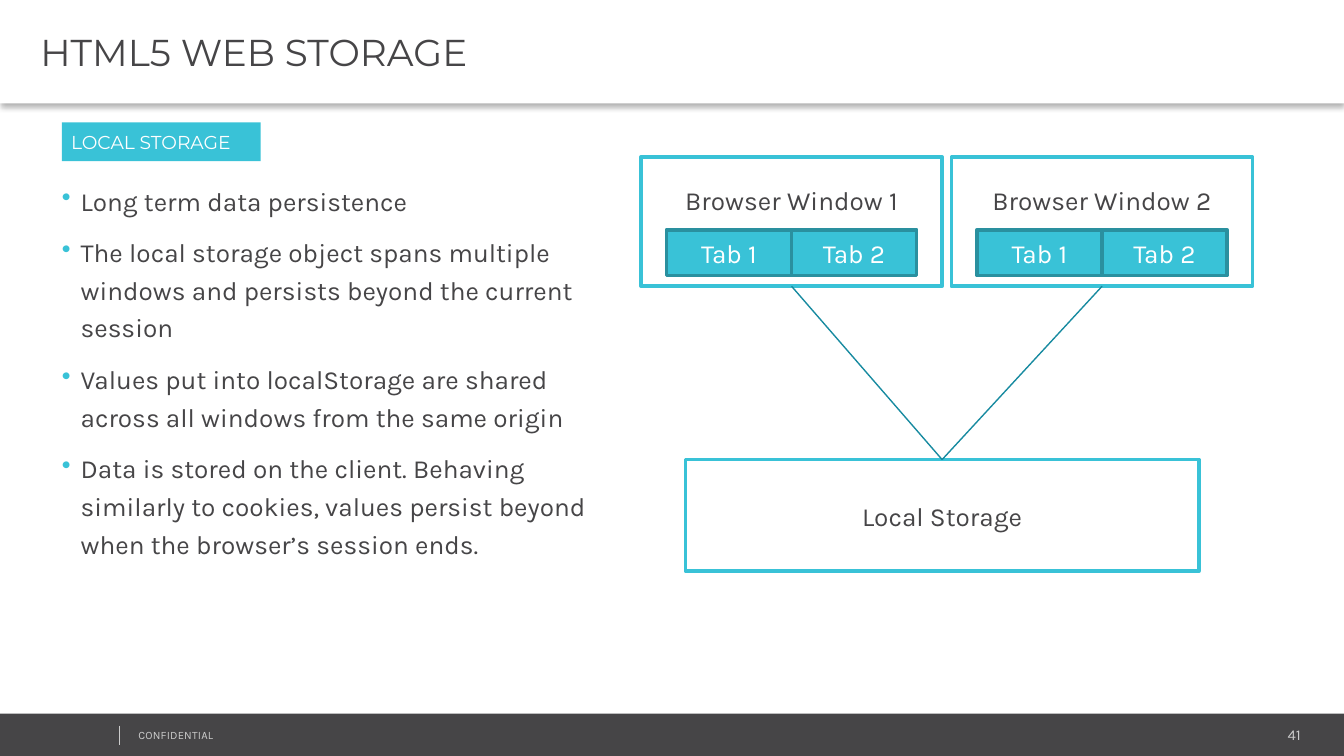
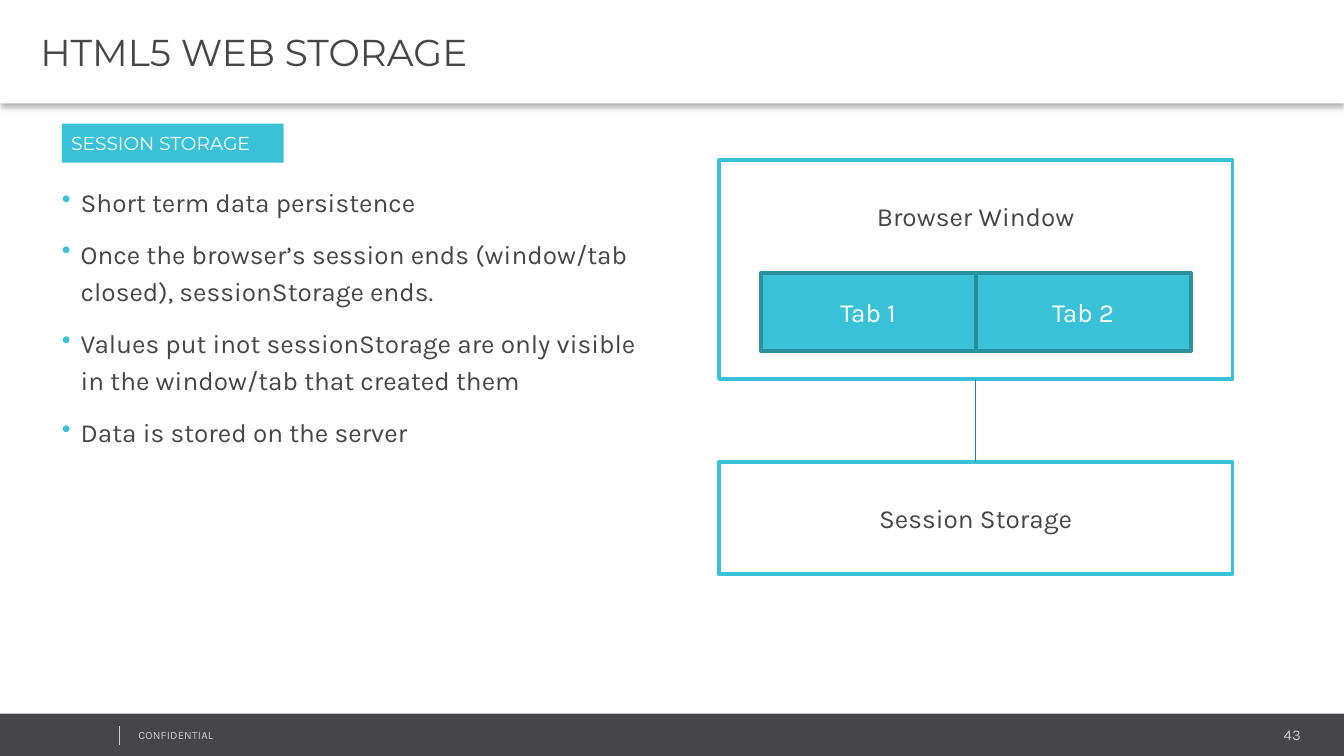
from lxml import etree
from pptx import Presentation
from pptx.dml.color import RGBColor
from pptx.enum.shapes import MSO_CONNECTOR, MSO_SHAPE
from pptx.enum.text import MSO_ANCHOR, MSO_AUTO_SIZE, PP_ALIGN
from pptx.oxml.ns import qn
from pptx.util import Inches, Pt

RECTANGLE, STRAIGHT = MSO_SHAPE.RECTANGLE, MSO_CONNECTOR.STRAIGHT
LEFT, CENTER, RIGHT = PP_ALIGN.LEFT, PP_ALIGN.CENTER, PP_ALIGN.RIGHT
TOP, MIDDLE = MSO_ANCHOR.TOP, MSO_ANCHOR.MIDDLE
NO_FIT = MSO_AUTO_SIZE.NONE
BOTTOM_SITE, TOP_SITE = 2, 0

# Grid: square cells, 100 columns across the slide
WIDTH, HEIGHT = Inches(10), Inches(5.625)
COLUMNS = 100
CELL = WIDTH / COLUMNS

HEADING_FONT, BODY_FONT = "Montserrat", "Karla"
DARK, WHITE, PALE = "464547", "FFFFFF", "CCCCCC"
CYAN, TAB_EDGE, LINK = "39C2D7", "2A909F", "178AA0"
TEXT_INSETS = (0.7, 0.4, 0.7, 0.4)


def color(hex_code):
    return RGBColor.from_string(hex_code)


def cells(*counts):
    return [round(count * CELL) for count in counts]


def add_xml(parent, tag, **attributes):
    child = etree.SubElement(parent, qn(tag))
    for key, value in attributes.items():
        child.set(key, str(value))
    return child


class Deck:
    def __init__(self):
        self.prs = Presentation()
        self.prs.slide_width, self.prs.slide_height = WIDTH, HEIGHT
        self.slide = None

    def new_slide(self, title, number):
        self.slide = self.prs.slides.add_slide(self.prs.slide_layouts[5])
        self.footer(number)
        self.title(title)

    # Text and boxes
    def fill_text(self, shape, lines, size=14, font=BODY_FONT, ink=DARK, align=LEFT,
                  anchor=TOP, insets=TEXT_INSETS, wrap=True):
        frame = shape.text_frame
        frame.text = "\n".join(lines)
        frame.word_wrap, frame.auto_size = wrap, NO_FIT
        frame.vertical_anchor = anchor
        (frame.margin_left, frame.margin_top,
         frame.margin_right, frame.margin_bottom) = cells(*insets)
        for paragraph in frame.paragraphs:
            paragraph.alignment = align
            paragraph.font.size, paragraph.font.name = Pt(size), font
            paragraph.font.color.rgb = color(ink)
        return frame

    def text(self, place, lines, **style):
        holder = self.slide.shapes.add_textbox(*cells(*place))
        return self.fill_text(holder, lines, **style)

    def box(self, place, fill, edge=None):
        shape = self.slide.shapes.add_shape(RECTANGLE, *cells(*place))
        shape.shadow.inherit = False
        shape.fill.solid()
        shape.fill.fore_color.rgb = color(fill)
        if edge:
            shape.line.color.rgb, shape.line.width = color(edge), Pt(2)
        else:
            shape.line.fill.background()
        return shape

    def line(self, ends, ink, width):
        connector = self.slide.shapes.add_connector(STRAIGHT, *cells(*ends))
        connector.line.color.rgb, connector.line.width = color(ink), Pt(width)
        add_xml(connector._element.spPr, "a:effectLst")
        return connector

    # Parts shared by the slides
    def title(self, wording):
        band = self.slide.shapes.title
        band.left, band.top, band.width, band.height = cells(0, 0, COLUMNS, 7.7)
        band.fill.solid()
        band.fill.fore_color.rgb = color(WHITE)
        self.fill_text(band, [wording], size=20, font=HEADING_FONT, anchor=MIDDLE,
                       insets=(3, 0.4, 0.7, 0.4))
        effects = add_xml(band._element.spPr, "a:effectLst")
        shadow = add_xml(effects, "a:outerShdw", blurRad=Pt(3.1), dist=Pt(2),
                         dir=90 * 60000, algn="t", rotWithShape=0)
        add_xml(add_xml(shadow, "a:srgbClr", val="000000"), "a:alpha", val=30000)

    def footer(self, number):
        self.box((0, 53.1, COLUMNS, 3.15), DARK)
        self.text((81.2, 53.6, 16.3, 2.1), [number], size=8, ink=PALE, align=RIGHT)
        notice = self.text((9.6, 53.8, 25.3, 1.8), ["CONFIDENTIAL"], size=6, ink=PALE)
        notice.paragraphs[0].runs[0]._r.get_or_add_rPr().set("spc", "10")
        self.line((8.9, 54, 8.9, 55.4), PALE, 0.25)

    def topic(self, wording, top, width):
        self.fill_text(self.box((4.6, top, width, 2.9), CYAN), [wording], size=10,
                       font=HEADING_FONT, ink=WHITE, anchor=MIDDLE,
                       insets=(0.7, 0.6, 0.7, 0.6), wrap=False)

    def bullets(self, place, points):
        indent, = cells(1.4)
        for paragraph in self.text(place, points).paragraphs:
            paragraph.line_spacing, paragraph.space_after = 1.2, Pt(7.5)
            properties = paragraph._p.get_or_add_pPr()
            properties.set("marL", str(indent))
            properties.set("indent", str(-indent))
            bullet_color = etree.Element(qn("a:buClr"))
            add_xml(bullet_color, "a:srgbClr", val=CYAN)
            bullet = etree.Element(qn("a:buChar"), char="•")
            # Bullet settings come before the default run properties
            run_defaults = properties.find(qn("a:defRPr"))
            run_defaults.addprevious(bullet_color)
            run_defaults.addprevious(bullet)

    # Diagram parts
    def frame(self, place, label, label_inset=3):
        shape = self.box(place, WHITE, CYAN)
        self.fill_text(shape, [label], align=CENTER, insets=(1, label_inset, 1, 0.5))
        return shape

    def window(self, place, label, label_inset, tab_size, tab_offset):
        left, top, width, _ = place
        tab_width, tab_height = tab_size
        window = self.frame(place, label, label_inset)
        middle = left + width / 2
        for tab, tab_left in (("Tab 1", middle - tab_width), ("Tab 2", middle)):
            shape = self.box((tab_left, top + tab_offset, tab_width, tab_height),
                             CYAN, TAB_EDGE)
            self.fill_text(shape, [tab], ink=WHITE, align=CENTER, anchor=MIDDLE)
        return window

    def link(self, window, storage):
        connector = self.line((0, 0, 0, 0), LINK, 0.75)
        connector.begin_connect(window, BOTTOM_SITE)
        connector.end_connect(storage, TOP_SITE)


def local_storage(deck):
    deck.new_slide("HTML5 WEB STORAGE", "41")
    deck.bullets((3.9, 12.9, 43.7, 37.7), [
        "Long term data persistence",
        "The local storage object spans multiple windows and persists beyond "
        "the current session",
        "Values put into localStorage are shared across all windows from the same origin",
        "Data is stored on the client. Behaving similarly to cookies, values persist "
        "beyond when the browser’s session ends.",
    ])
    deck.topic("LOCAL STORAGE", 9.1, 14.8)
    storage = deck.frame((51, 34.2, 38.2, 8.3), "Local Storage")
    for index in range(2):
        window = deck.window((47.7 + index * 23.1, 11.7, 22.4, 9.6),
                             f"Browser Window {index + 1}", 2, (9.3, 3.4), 5.4)
        deck.link(window, storage)


def session_storage(deck):
    deck.new_slide("HTML5 WEB STORAGE", "43")
    deck.bullets((3.9, 13, 44.8, 37.4), [
        "Short term data persistence",
        "Once the browser’s session ends (window/tab closed), sessionStorage ends.",
        "Values put inot sessionStorage are only visible in the window/tab "
        "that created them",
        "Data is stored on the server",
    ])
    deck.topic("SESSION STORAGE", 9.2, 16.5)
    window = deck.window((53.5, 11.9, 38.2, 16.3), "Browser Window", 3, (16, 5.8), 8.4)
    storage = deck.frame((53.5, 34.4, 38.2, 8.3), "Session Storage")
    deck.link(window, storage)


def main():
    deck = Deck()
    local_storage(deck)
    session_storage(deck)
    deck.prs.save("out.pptx")


if __name__ == "__main__":
    main()
